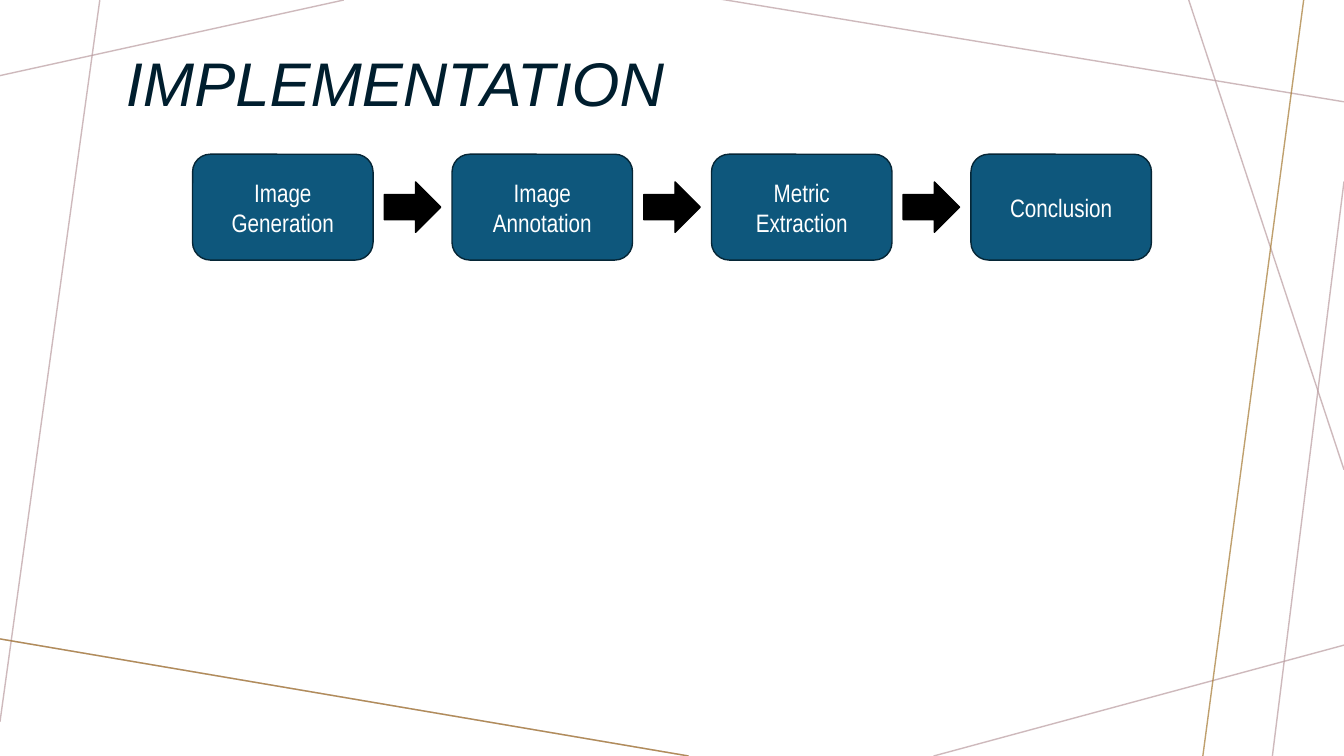
import pptx
import pptx.dml.color
import pptx.enum.shapes
import pptx.enum.text
import pptx.oxml
import pptx.oxml.ns
import pptx.util
from pptx.util import Inches

MAUVE, GOLD = "BA9CA0", "A57931"
BACKGROUND_LINES = [
    ((3.41, 0), (0, 0.75), MAUVE),
    ((0.99, 0), (0, 7.16), MAUVE),
    ((6.83, 7.5), (-0.05, 6.33), MAUVE),
    ((13.33, 6.4), (9.26, 7.5), MAUVE),
    ((13.33, 1.8), (12.62, 7.5), MAUVE),
    ((13.33, 4.66), (11.79, 0), MAUVE),
    ((13.33, 1.01), (7.14, -0.01), MAUVE),
    ((6.83, 7.5), (-0.05, 6.33), GOLD),
    ((12.93, 0), (11.93, 7.5), GOLD),
]
STEPS = ["Image Generation", "Image Annotation", "Metric Extraction", "Conclusion"]


def color(value):
    return pptx.dml.color.RGBColor.from_string(value)


def add_background_lines(slide):
    for start, end, line_color in BACKGROUND_LINES:
        connector = slide.shapes.add_connector(
            pptx.enum.shapes.MSO_CONNECTOR.STRAIGHT,
            *(Inches(value) for value in start + end))
        connector.line.color.rgb = color(line_color)
        connector.line.width = pptx.util.Pt(1)
        properties = connector._element.spPr
        fill_color = properties.find(".//" + pptx.oxml.ns.qn("a:srgbClr"))
        alpha = pptx.oxml.parse_xml(f'<a:alpha {pptx.oxml.ns.nsdecls("a")} val="70000"/>')
        fill_color.append(alpha)
        properties.append(
            pptx.oxml.parse_xml(f'<a:effectLst {pptx.oxml.ns.nsdecls("a")}/>'))


def add_title(slide, text, left, top, width, height):
    box = slide.shapes.add_textbox(
        Inches(left), Inches(top), Inches(width), Inches(height))
    frame = box.text_frame
    frame.word_wrap = True
    frame.vertical_anchor = pptx.enum.text.MSO_ANCHOR.BOTTOM
    paragraph = frame.paragraphs[0]
    paragraph.text = text
    paragraph.line_spacing = 0.9
    paragraph.font.name = "Arial"
    paragraph.font.size = pptx.util.Pt(44)
    paragraph.font.italic = True
    paragraph.font.color.rgb = color("001E2E")


def add_filled_shape(slide, kind, left, top, width, height, fill, outline):
    shape = slide.shapes.add_shape(
        kind, Inches(left), Inches(top), Inches(width), Inches(height))
    shape.shadow.inherit = False
    shape.fill.solid()
    shape.fill.fore_color.rgb = color(fill)
    shape.line.color.rgb = color(outline)
    shape.line.width = pptx.util.Pt(1)
    return shape


def add_process(slide, steps, left, top, width, height):
    """Spread the step boxes over the width, with an arrow centred in each gap."""
    kinds = pptx.enum.shapes.MSO_SHAPE
    step_width, arrow_width, arrow_height = 1.79, 0.56, 0.5
    pitch = (width - step_width) / (len(steps) - 1)
    arrow_offset = (pitch + step_width - arrow_width) / 2
    for index, step in enumerate(steps):
        step_left = left + index * pitch
        box = add_filled_shape(slide, kinds.ROUNDED_RECTANGLE, step_left, top,
                               step_width, height, "0E577C", "062636")
        box.text_frame.word_wrap = True
        box.text_frame.vertical_anchor = pptx.enum.text.MSO_ANCHOR.MIDDLE
        paragraph = box.text_frame.paragraphs[0]
        paragraph.text = step
        paragraph.alignment = pptx.enum.text.PP_ALIGN.CENTER
        paragraph.font.name = "Arial Narrow"
        paragraph.font.size = pptx.util.Pt(18)
        paragraph.font.color.rgb = color("FFFFFF")
        if index < len(steps) - 1:
            add_filled_shape(slide, kinds.RIGHT_ARROW, step_left + arrow_offset,
                             top + (height - arrow_height) / 2,
                             arrow_width, arrow_height, "000000", "000000")


def main():
    presentation = pptx.Presentation()
    presentation.slide_width = Inches(13.33)
    presentation.slide_height = Inches(7.5)
    slide = presentation.slides.add_slide(presentation.slide_layouts[6])
    slide.background.fill.solid()
    slide.background.fill.fore_color.rgb = color("FFFFFF")
    add_background_lines(slide)
    add_process(slide, STEPS, 1.91, 1.53, 9.51, 1.05)
    add_title(slide, "IMPLEMENTATION", 1.15, 0.51, 7.18, 0.73)
    presentation.save("out.pptx")


if __name__ == "__main__":
    main()
